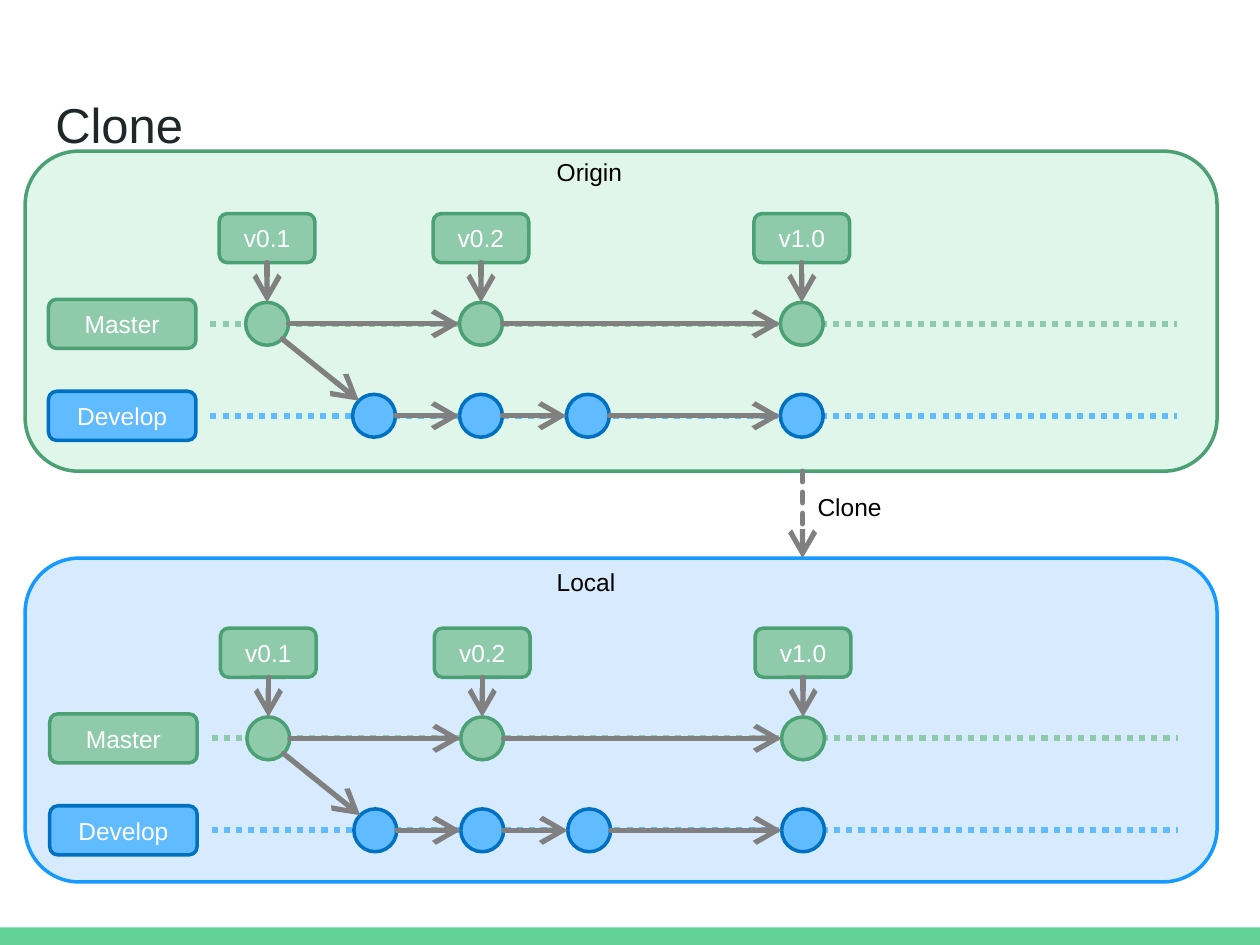
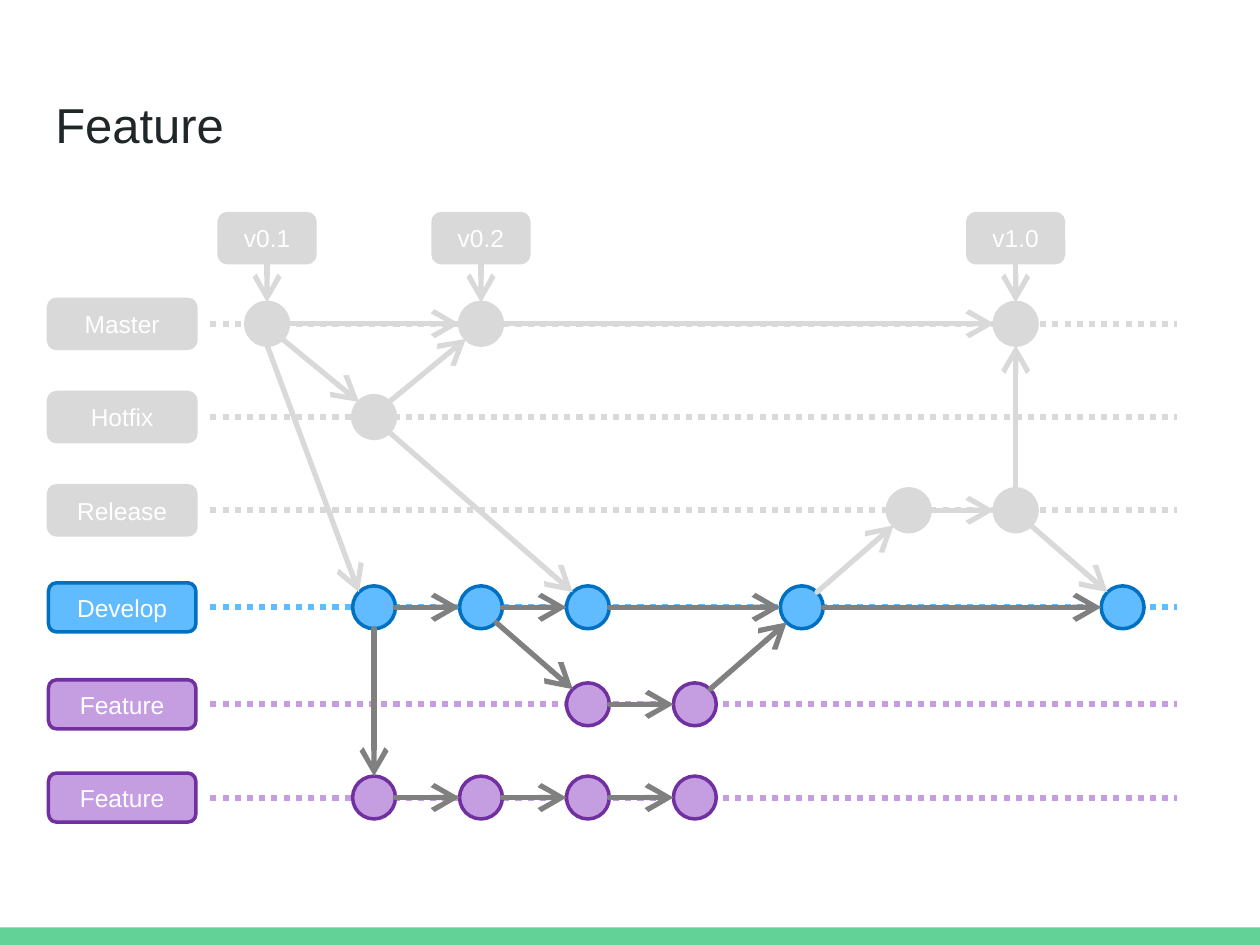
from dataclasses import dataclass
from itertools import pairwise
from math import copysign, sqrt

from pptx import Presentation
from pptx.dml.color import RGBColor
from pptx.enum.dml import MSO_LINE
from pptx.enum.shapes import MSO_CONNECTOR, MSO_SHAPE
from pptx.enum.text import MSO_ANCHOR, PP_ALIGN
from pptx.oxml.xmlchemy import OxmlElement
from pptx.util import Inches, Pt


@dataclass(frozen=True)
class Theme:
    font: str = "Arial"
    title_size: int = 28
    text_size: int = 14
    title: str = "202729"
    text: str = "000000"
    white: str = "FFFFFF"
    band: str = "63D297"
    arrow: str = "808080"
    muted: str = "D9D9D9"
    outline: float = 2
    arrow_width: float = 3
    lane_width: float = 3.5


THEME = Theme()
STYLES = {
    "green": ("8FCBAB", "4BA173"),
    "blue": ("61BBFF", "0070C0"),
    "purple": ("C59EE2", "7030A0"),
    "muted": (THEME.muted, THEME.muted),
    "origin": ("E0F6EA", "4BA173"),
    "local": ("D8EAFE", "159BFF"),
}

CLONE_LANES = [
    ("Master", "green", 0, [0, 2, 5]),
    ("Develop", "blue", 0.73, [1, 2, 3, 5]),
]
CLONE_TAGS = {"v0.1": 0, "v0.2": 2, "v1.0": 5}
CLONE_LINKS = [((0, 0), (1, 1))]
REPOSITORIES = [
    ("Origin", "origin", 1.2, 2.54, 1.2, 0, 2.57),
    ("Local", "local", 4.43, 2.57, 4.45, 0.01, 5.86),
]

FEATURE_LANES = [
    ("Master", "muted", 0, [0, 2, 7]),
    ("Hotfix", "muted", 0.74, [1]),
    ("Release", "muted", 1.48, [6, 7]),
    ("Develop", "blue", 2.25, [1, 2, 3, 5, 8]),
    ("Feature", "purple", 3.02, [3, 4]),
    ("Feature", "purple", 3.76, [1, 2, 3, 4]),
]
FEATURE_TAGS = {"v0.1": 0, "v0.2": 2, "v1.0": 7}
FEATURE_LINKS = [
    ((0, 0), (1, 1)),
    ((1, 1), (0, 2)),
    ((0, 0), (3, 1)),
    ((1, 1), (3, 3)),
    ((3, 1), (5, 1)),
    ((3, 2), (4, 3)),
    ((4, 4), (3, 5)),
    ((3, 5), (2, 6)),
    ((2, 7), (0, 7)),
    ((2, 7), (3, 8)),
]

FIRST_X, LAST_X, COLUMN_COUNT = 2.12, 8.91, 9
COLUMN_STEP = (LAST_X - FIRST_X) / (COLUMN_COUNT - 1)
LANE_START, LANE_END = 1.67, 9.34
RADIUS = 0.17
LABEL_X, LABEL_WIDTH = 0.97, 1.17
TAG_WIDTH, BOX_HEIGHT, TAG_RISE = 0.76, 0.39, 0.68
CAPTION_WIDTH, CAPTION_HEIGHT = 0.8, 0.34
CLONE_X = 6.37


def color(value):
    return RGBColor.from_string(value)


def write(paragraph, text, size, value):
    run = paragraph.add_run()
    run.text = text
    run.font.name = THEME.font
    run.font.size = Pt(size)
    run.font.color.rgb = color(value)


def add_box(slide, kind, left, top, width, height, style, text=""):
    shape = slide.shapes.add_shape(
        kind, Inches(left), Inches(top), Inches(width), Inches(height)
    )
    fill, line = STYLES[style]
    shape.shadow.inherit = False
    shape.fill.solid()
    shape.fill.fore_color.rgb = color(fill)
    shape.line.color.rgb = color(line)
    shape.line.width = Pt(THEME.outline)
    if text:
        shape.text_frame.vertical_anchor = MSO_ANCHOR.MIDDLE
        paragraph = shape.text_frame.paragraphs[0]
        paragraph.alignment = PP_ALIGN.CENTER
        write(paragraph, text, THEME.text_size, THEME.white)


def add_label(slide, x, y, width, style, text):
    add_box(
        slide, MSO_SHAPE.ROUNDED_RECTANGLE, x - width / 2, y - BOX_HEIGHT / 2,
        width, BOX_HEIGHT, style, text,
    )


def add_line(slide, start, end, value, width, dash=None, arrow=False):
    connector = slide.shapes.add_connector(
        MSO_CONNECTOR.STRAIGHT, *(Inches(length) for length in (*start, *end))
    )
    connector.line.color.rgb = color(value)
    connector.line.width = Pt(width)
    if dash is not None:
        connector.line.dash_style = dash
    if arrow:
        outline = connector.line._get_or_add_ln()
        outline.set("cap", "rnd")
        tail = OxmlElement("a:tailEnd")
        for name, setting in (("type", "arrow"), ("w", "lg"), ("len", "lg")):
            tail.set(name, setting)
        outline.append(tail)
    connector._element.spPr.append(OxmlElement("a:effectLst"))


def add_arrow(slide, start, end, value, dash=None):
    add_line(slide, start, end, value, THEME.arrow_width, dash, True)


def add_text(slide, left, top, width, height, text, size, value):
    box = slide.shapes.add_textbox(
        Inches(left), Inches(top), Inches(width), Inches(height)
    )
    box.text_frame.word_wrap = True
    write(box.text_frame.paragraphs[0], text, size, value)
    return box.text_frame


def add_caption(slide, left, top, text):
    add_text(
        slide, left, top, CAPTION_WIDTH, CAPTION_HEIGHT, text,
        THEME.text_size, THEME.text,
    )


def add_slide(presentation, title):
    slide = presentation.slides.add_slide(presentation.slide_layouts[6])
    slide.background.fill.solid()
    slide.background.fill.fore_color.rgb = color(THEME.white)
    band = slide.shapes.add_shape(
        MSO_SHAPE.RECTANGLE, 0, Inches(7.36), Inches(10), Inches(0.14)
    )
    band.shadow.inherit = False
    band.fill.solid()
    band.fill.fore_color.rgb = color(THEME.band)
    band.line.fill.background()
    frame = add_text(
        slide, 0.34, 0.65, 9.32, 0.55, title, THEME.title_size, THEME.title
    )
    frame.vertical_anchor = MSO_ANCHOR.TOP
    frame.margin_left = frame.margin_right = Inches(0.1)
    frame.margin_top = frame.margin_bottom = Inches(0.1)
    return slide


def arrow_ends(start, end):
    across, down = end[0] - start[0], end[1] - start[1]
    if across == 0 or down == 0:
        leave = arrive = tuple(
            copysign(RADIUS, gap) if gap else 0 for gap in (across, down)
        )
    else:
        arrive = tuple(
            copysign(RADIUS / sqrt(2), gap) for gap in (across, down)
        )
        steep = abs(down) > 2 * abs(across)
        leave = (0, copysign(RADIUS, down)) if steep else arrive
    return (
        (start[0] + leave[0], start[1] + leave[1]),
        (end[0] - arrive[0], end[1] - arrive[1]),
    )


def add_branches(slide, lanes, tags, links, shift, top):
    def center(commit):
        lane, column = commit
        return FIRST_X + shift + column * COLUMN_STEP, top + lanes[lane][2]

    def arrow_color(*commits):
        muted = any(lanes[lane][1] == "muted" for lane, _ in commits)
        return THEME.muted if muted else THEME.arrow

    for _, style, offset, _ in lanes:
        y = top + offset
        add_line(
            slide, (LANE_START + shift, y), (LANE_END + shift, y),
            STYLES[style][0], THEME.lane_width, MSO_LINE.ROUND_DOT,
        )

    steps = []
    for lane, (_, style, _, columns) in enumerate(lanes):
        commits = [(lane, column) for column in columns]
        steps.extend(pairwise(commits))
        for commit in commits:
            x, y = center(commit)
            add_box(
                slide, MSO_SHAPE.OVAL, x - RADIUS, y - RADIUS,
                2 * RADIUS, 2 * RADIUS, style,
            )

    for start, end in steps + links:
        ends = arrow_ends(center(start), center(end))
        add_arrow(slide, *ends, arrow_color(start, end))

    for name, style, offset, _ in lanes:
        add_label(
            slide, LABEL_X + shift, top + offset, LABEL_WIDTH, style, name
        )

    for version, column in tags.items():
        x, y = center((0, column))
        tag_y = y - TAG_RISE
        add_label(slide, x, tag_y, TAG_WIDTH, lanes[0][1], version)
        add_arrow(
            slide, (x, tag_y + BOX_HEIGHT / 2), (x, y - RADIUS),
            arrow_color((0, column)),
        )


def build_clone(presentation):
    slide = add_slide(presentation, "Clone")
    for name, style, top, height, caption_top, shift, lane_top in REPOSITORIES:
        add_box(
            slide, MSO_SHAPE.ROUNDED_RECTANGLE, 0.2, top, 9.46, height, style
        )
        add_caption(slide, 4.32, caption_top, name)
        add_branches(
            slide, CLONE_LANES, CLONE_TAGS, CLONE_LINKS, shift, lane_top
        )
    add_arrow(
        slide, (CLONE_X, 3.74), (CLONE_X, 4.43), THEME.arrow,
        MSO_LINE.SQUARE_DOT,
    )
    add_caption(slide, 6.39, 3.86, "Clone")


def build_feature(presentation):
    slide = add_slide(presentation, "Feature")
    add_branches(slide, FEATURE_LANES, FEATURE_TAGS, FEATURE_LINKS, 0, 2.57)


def main():
    presentation = Presentation()
    presentation.slide_width = Inches(10)
    presentation.slide_height = Inches(7.5)
    build_clone(presentation)
    build_feature(presentation)
    presentation.save("out.pptx")


if __name__ == "__main__":
    main()
